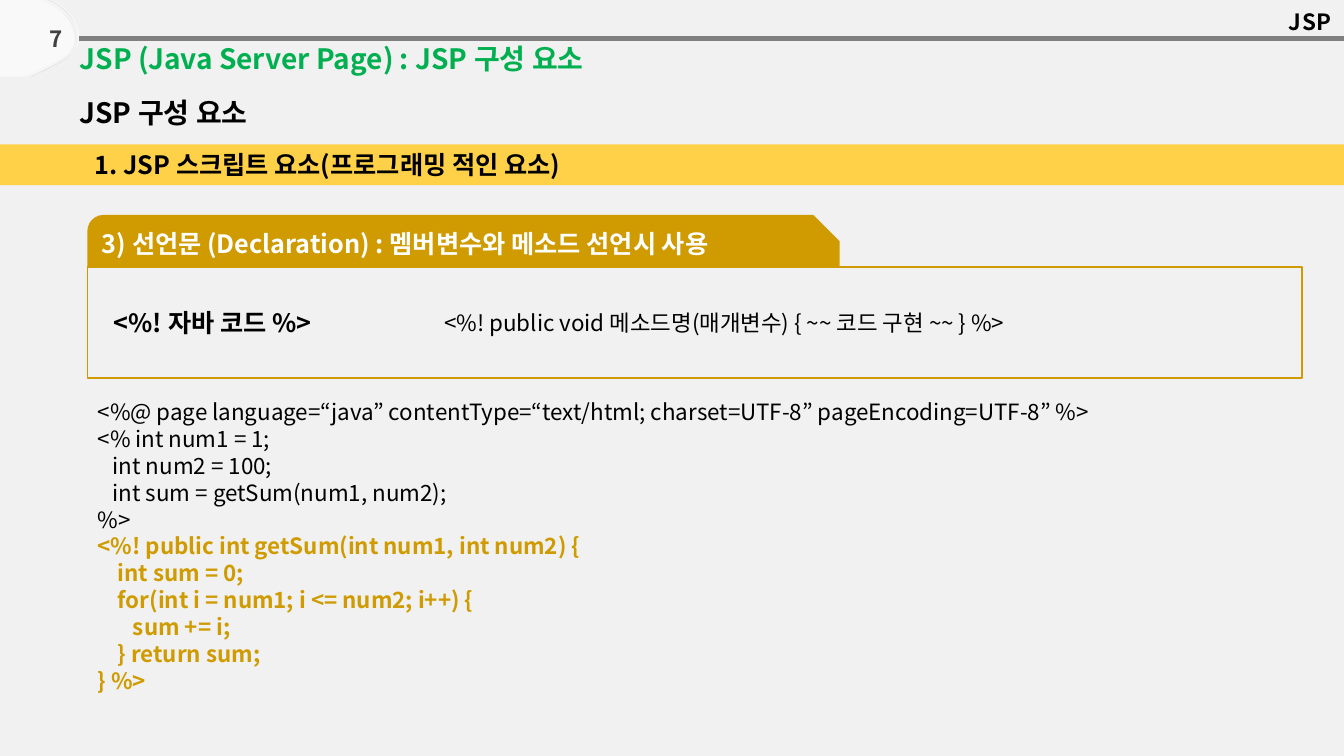
"""Build the slide on JSP declarations."""
from dataclasses import dataclass

from lxml.etree import SubElement
from pptx import Presentation
from pptx.dml.color import RGBColor
from pptx.enum.shapes import MSO_CONNECTOR, MSO_SHAPE as Preset
from pptx.enum.text import MSO_ANCHOR as Anchor, MSO_AUTO_SIZE as AutoSize, PP_ALIGN as Align
from pptx.oxml.ns import qn
from pptx.util import Inches, Pt

WIDTH, HEIGHT = Inches(13.33), Inches(7.5)
FONT = "Noto Sans CJK KR"
LINE_HEIGHT = 1.2
SPACE_WIDTH = 3.6
COLORS = {
    "background": "F2F1F1",
    "rule": "808080",
    "white": "FFFFFF",
    "rim": "DBD8D8",
    "number": "404040",
    "black": "000000",
    "band": "FFD149",
    "gold": "CF9B00",
    "green": "00B050",
}
Point = tuple[float, float]


@dataclass(frozen=True)
class Box:
    """Place on the slide, in percent of its width and height."""
    left: float
    top: float
    width: float
    height: float

    def lengths(self) -> tuple[int, int, int, int]:
        return (across(self.left), down(self.top), across(self.width), down(self.height))


@dataclass(frozen=True)
class Line:
    """One paragraph, with its indent in spaces."""
    text: str
    indent: int = 0
    color: str = "black"
    bold: bool = False


@dataclass(frozen=True)
class Layer:
    """One layer of the page badge, in inches: curves down, corners, curves back up."""
    edge: tuple[Point, ...]
    corners: tuple[Point, ...]
    back: tuple[Point, ...]
    color: str
    opacity: int = 100


@dataclass(frozen=True)
class Label:
    """A text box with a single line."""
    box: Box
    text: str
    size: float
    style: dict


BADGE = [
    Layer(((0.4, 0), (0.62, 0.08), (0.74, 0.23), (0.74, 0.4), (0.74, 0.55), (0.55, 0.62),
           (0.35, 0.71), (0.31, 0.73), (0.27, 0.74), (0.24, 0.76)),
          ((0, 0.76), (0, 0)), (), "white", 60),
    Layer(((0.52, 0), (0.7, 0.1), (0.8, 0.24), (0.78, 0.41), (0.77, 0.57), (0.57, 0.63),
           (0.36, 0.72), (0.33, 0.73), (0.29, 0.75), (0.25, 0.76)), (),
          ((0.29, 0.75), (0.32, 0.73), (0.36, 0.72), (0.57, 0.63), (0.77, 0.57), (0.78, 0.41),
           (0.79, 0.24), (0.7, 0.1), (0.52, 0)), "white"),
    Layer(((0.44, 0), (0.66, 0.08), (0.78, 0.23), (0.78, 0.4), (0.78, 0.55), (0.58, 0.62),
           (0.38, 0.71), (0.34, 0.73), (0.31, 0.74), (0.27, 0.76)),
          ((0.24, 0.76), (0.26, 0.76)),
          ((0.3, 0.74), (0.34, 0.73), (0.37, 0.71), (0.58, 0.62), (0.77, 0.55), (0.77, 0.4),
           (0.77, 0.23), (0.65, 0.08), (0.43, 0)), "white"),
    Layer(((0.47, 0), (0.67, 0.08), (0.77, 0.23), (0.77, 0.4), (0.77, 0.55), (0.6, 0.62),
           (0.42, 0.71), (0.38, 0.73), (0.35, 0.74), (0.32, 0.76)),
          ((0.29, 0.76), (0.31, 0.76)),
          ((0.35, 0.74), (0.38, 0.73), (0.41, 0.71), (0.59, 0.62), (0.77, 0.55), (0.77, 0.4),
           (0.77, 0.23), (0.66, 0.08), (0.47, 0)), "rim"),
]
HEADER_INSETS = (8.64, 8.64, 8.64, 7.2)
LABELS = [
    Label(Box(0, 1.6, 5.55, 6.67), "7", 16,
          dict(color="number", bold=True, align=Align.RIGHT, anchor=Anchor.BOTTOM,
               insets=HEADER_INSETS)),
    Label(Box(69.75, 0, 30.25, 5.33), "JSP", 16,
          dict(bold=True, align=Align.RIGHT, anchor=Anchor.MIDDLE, insets=HEADER_INSETS,
               spacing=0.5)),
    Label(Box(5.18, 12, 15.23, 5.87), "JSP 구성 요소", 20, dict(bold=True, wrap=False)),
]
SYNTAX = Label(Box(32.33, 40.2, 61.2, 4.93),
               "<%! public void 메소드명(매개변수) { ~~ 코드 구현 ~~ } %>", 16, {})
CODE = [
    Line("<%@ page language=“java” contentType=“text/html; charset=UTF-8” pageEncoding=UTF-8” %>"),
    Line("<% int num1 = 1;"),
    Line("int num2 = 100;", 3),
    Line("int sum = getSum(num1, num2);", 3),
    Line("%>"),
    Line("<%! public int getSum(int num1, int num2) {", 0, "gold", True),
    Line("int sum = 0;", 4, "gold", True),
    Line("for(int i = num1; i <= num2; i++) {", 4, "gold", True),
    Line("sum += i;", 7, "gold", True),
    Line("} return sum;", 4, "gold", True),
    Line("} %>", 0, "gold", True),
]


def across(percent: float) -> int:
    return round(WIDTH * percent / 100)


def down(percent: float) -> int:
    return round(HEIGHT * percent / 100)


def rgb(name: str) -> RGBColor:
    return RGBColor.from_string(COLORS[name])


def write(shape, text: str | list[Line], *, size: float, color: str = "black",
          bold: bool = False, align=Align.LEFT, anchor=Anchor.TOP,
          insets: tuple = (7.2, 3.6, 7.2, 3.6), wrap: bool = True, spacing: float = 0) -> None:
    frame = shape.text_frame
    frame.auto_size, frame.word_wrap, frame.vertical_anchor = AutoSize.NONE, wrap, anchor
    (frame.margin_left, frame.margin_top,
     frame.margin_right, frame.margin_bottom) = map(Pt, insets)
    lines = [Line(text, 0, color, bold)] if isinstance(text, str) else text
    for index, line in enumerate(lines):
        paragraph = frame.add_paragraph() if index else frame.paragraphs[0]
        paragraph.alignment = align
        paragraph.line_spacing = Pt(size * LINE_HEIGHT)
        paragraph.space_before = paragraph.space_after = Pt(0)
        if line.indent:
            paragraph._p.get_or_add_pPr().set("marL", str(Pt(line.indent * SPACE_WIDTH)))
        run = paragraph.add_run()
        run.text = line.text
        font = run.font
        font.name, font.size, font.bold = FONT, Pt(size), line.bold
        font.color.rgb = rgb(line.color)
        properties = run._r.get_or_add_rPr()
        SubElement(properties, qn("a:ea"), typeface=FONT)
        if spacing:
            properties.set("spc", str(round(spacing * 100)))


def paint(shape, fill: str | None = None, line: str | None = None, opacity: int = 100) -> None:
    shape.shadow.inherit = False
    if fill:
        shape.fill.solid()
        shape.fill.fore_color.rgb = rgb(fill)
        if opacity < 100:
            color = shape.fill._xPr.find(qn("a:solidFill"))[0]
            SubElement(color, qn("a:alpha"), val=str(opacity * 1000))
    else:
        shape.fill.background()
    if line:
        shape.line.color.rgb = rgb(line)
        shape.line.width = Pt(1)
    else:
        shape.line.fill.background()


def add_badge_layer(slide, layer: Layer) -> None:
    points = layer.edge + layer.corners + layer.back
    start, *rest = [(Inches(x), Inches(y)) for x, y in points]
    builder = slide.shapes.build_freeform(*start)
    builder.add_line_segments(rest, close=True)
    shape = builder.convert_to_shape()
    segments = list(shape._element.spPr.iter(qn("a:lnTo")))
    down_count = len(layer.edge) - 1
    curved = segments[:down_count] + segments[down_count + len(layer.corners):][:len(layer.back)]
    for first in range(0, len(curved), 3):
        curve = SubElement(curved[first].getparent(), qn("a:cubicBezTo"))
        curved[first].addprevious(curve)
        for segment in curved[first:first + 3]:
            curve.append(segment[0])
            segment.getparent().remove(segment)
    paint(shape, layer.color, opacity=layer.opacity)


def add_panel(slide, preset, box: Box, text: str, *, fill: str | None = None,
              line: str | None = None, **style):
    shape = slide.shapes.add_shape(preset, *box.lengths())
    paint(shape, fill, line)
    write(shape, text, size=18, bold=True, **style)
    return shape


def add_label(slide, label: Label) -> None:
    shape = slide.shapes.add_textbox(*label.box.lengths())
    write(shape, label.text, size=label.size, **label.style)


def main() -> None:
    presentation = Presentation()
    presentation.slide_width, presentation.slide_height = WIDTH, HEIGHT
    slide = presentation.slides.add_slide(presentation.slide_layouts[5])
    slide.background.fill.solid()
    slide.background.fill.fore_color.rgb = rgb("background")

    title = slide.shapes.title
    title.left, title.top, title.width, title.height = Box(5.18, 4.85, 50.1, 5.87).lengths()
    write(title, "JSP (Java Server Page) : JSP 구성 요소", size=20, color="green", bold=True)

    rule = slide.shapes.add_connector(MSO_CONNECTOR.STRAIGHT, across(5.85), down(5.1),
                                      across(100), down(5.1))
    rule.line.color.rgb, rule.line.width = rgb("rule"), Pt(3)
    SubElement(rule._element.spPr, qn("a:effectLst"))
    for layer in BADGE:
        add_badge_layer(slide, layer)
    for label in LABELS:
        add_label(slide, label)

    add_panel(slide, Preset.RECTANGLE, Box(0, 19.1, 100, 5.38),
              "1. JSP 스크립트 요소(프로그래밍 적인 요소)", fill="band", insets=(67.68, 3.6, 7.2, 3.6))
    tab = add_panel(slide, Preset.SNIP_ROUND_RECTANGLE, Box(6.5, 28.43, 55.97, 6.93),
                    "3) 선언문 (Declaration) : 멤버변수와 메소드 선언시 사용",
                    fill="gold", color="white", anchor=Anchor.MIDDLE)
    tab.adjustments[0], tab.adjustments[1] = 0.31, 0.5
    add_panel(slide, Preset.RECTANGLE, Box(6.5, 35.33, 90.38, 14.67), "<%! 자바 코드 %>",
              line="gold", anchor=Anchor.MIDDLE, insets=(18.9, 3.6, 7.2, 3.6))
    code = slide.shapes.add_textbox(*Box(6.53, 52.03, 90.38, 40.8).lengths())
    write(code, CODE, size=16, align=Align.JUSTIFY)
    add_label(slide, SYNTAX)
    presentation.save("out.pptx")


if __name__ == "__main__":
    main()
